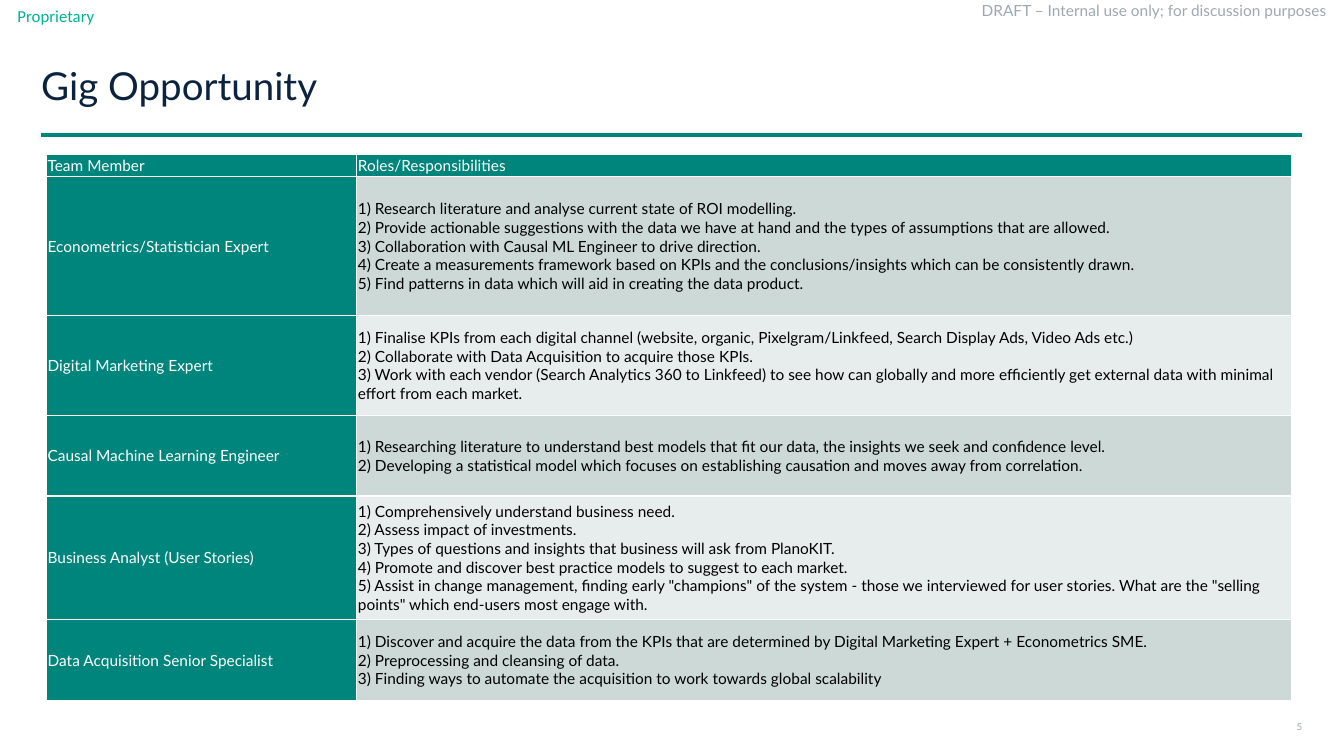
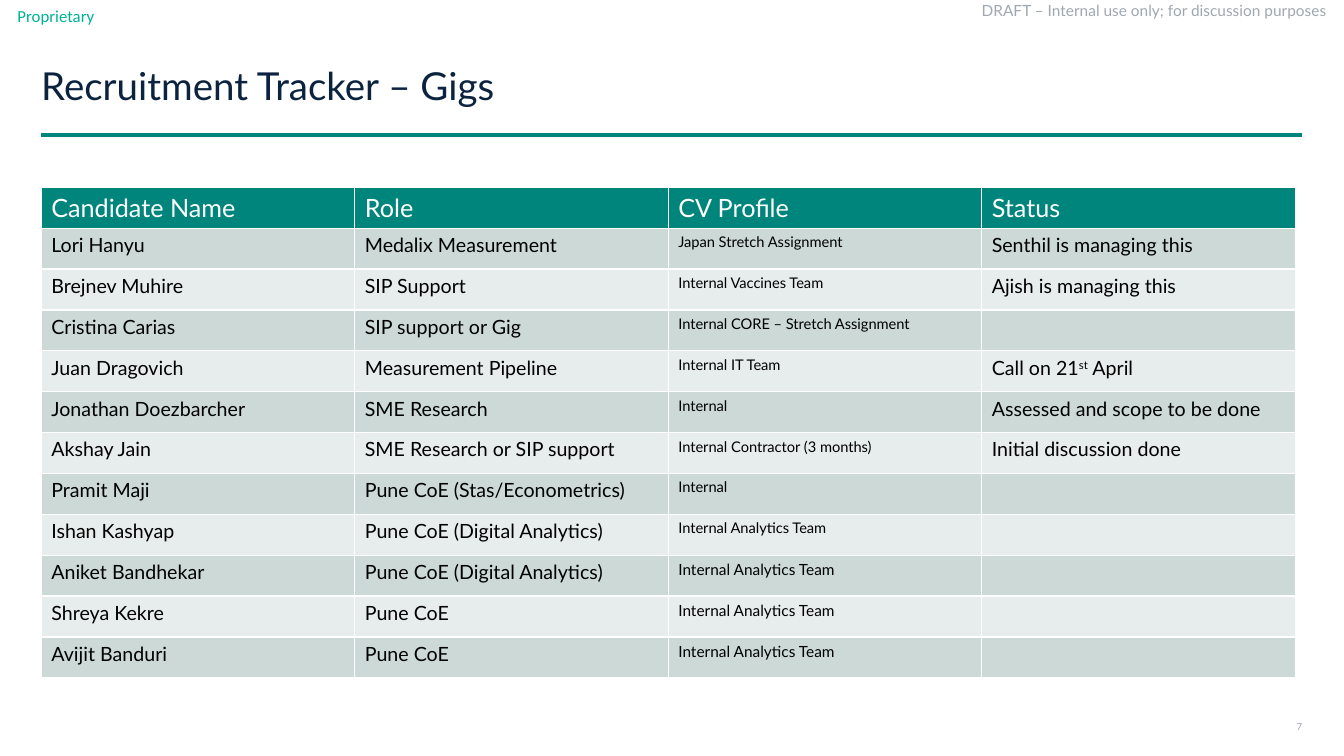
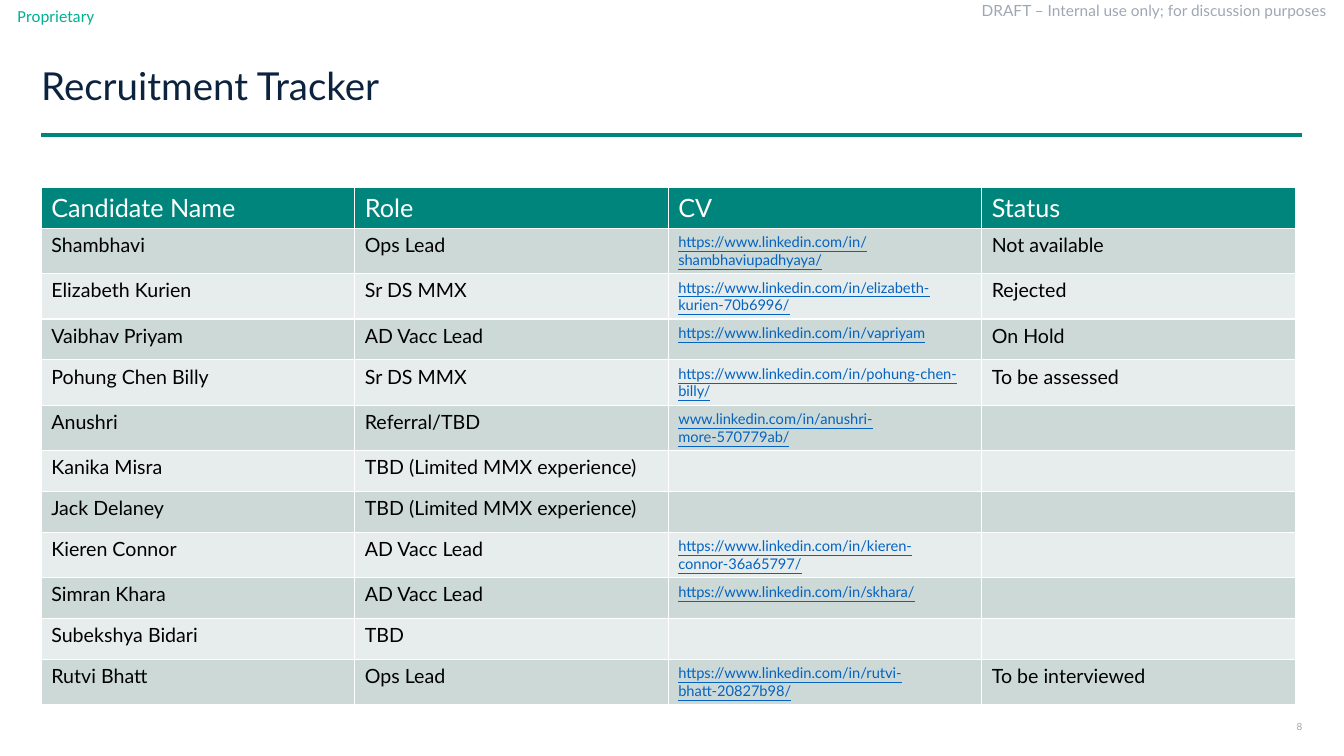
"""Build the gig opportunity and recruitment tracker slides."""
import dataclasses
import typing

import lxml.etree
import pptx
import pptx.dml.color
import pptx.enum.shapes
import pptx.enum.text
import pptx.oxml.ns
import pptx.util

Cm = pptx.util.Cm
Pt = pptx.util.Pt
ALIGN = pptx.enum.text.PP_ALIGN
ANCHOR = pptx.enum.text.MSO_ANCHOR

TEAL = "00857C"
GREEN = "00B294"
NAVY = "0C2340"
GREY = "9EA7B3"
WHITE = "FFFFFF"
BLACK = "000000"
LINK_BLUE = "0563C1"
BANDS = ("CCD9D7", "E7EDEC")


@dataclasses.dataclass(frozen=True)
class Style:
    size: float
    color: str
    font: str = "Lato"
    underline: bool = False


@dataclasses.dataclass(frozen=True)
class Label:
    left: float
    top: float
    width: float
    height: float
    style: Style
    align: ALIGN = ALIGN.LEFT
    anchor: ANCHOR = ANCHOR.MIDDLE
    line_spacing: float = 1.0


@dataclasses.dataclass(frozen=True)
class TeamRole:
    member: str
    duties: tuple[str, ...]
    height: float


@dataclasses.dataclass(frozen=True)
class Candidate:
    name: str
    role: str
    profile: str = ""
    status: str = ""
    profile_size: float = 10.5


DRAFT = Label(24.74, 0.03, 10.01, 0.84, Style(11, GREY), anchor=ANCHOR.TOP)
PROPRIETARY = Label(0, 0, 2.82, 0.81, Style(12, GREEN, "Calibri"), ALIGN.CENTER)
TITLE = Label(1.04, 1.04, 20.9, 2.36, Style(27.5, NAVY), line_spacing=0.9)
PAGE_NUMBER = Label(32.18, 18.01, 0.64, 0.61, Style(7, GREY), ALIGN.RIGHT)
TRACKER_HEADER = Style(18, WHITE)
TRACKER_BODY = Style(14, BLACK)
TRACKER_ROW = 1.03

TEAM_ROLES = (
    TeamRole("Econometrics/Statistician Expert", (
        "Research literature and analyse current state of ROI modelling.",
        "Provide actionable suggestions with the data we have at hand and the types of assumptions that are allowed.",
        "Collaboration with Causal ML Engineer to drive direction.",
        "Create a measurements framework based on KPIs and the conclusions/insights which can be consistently drawn.",
        "Find patterns in data which will aid in creating the data product.",
    ), 3.51),
    TeamRole("Digital Marketing Expert", (
        "Finalise KPIs from each digital channel (website, organic, Pixelgram/Linkfeed, Search Display Ads, "
        "Video Ads etc.)",
        "Collaborate with Data Acquisition to acquire those KPIs.",
        "Work with each vendor (Search Analytics 360 to Linkfeed) to see how can globally and more efficiently "
        "get external data with minimal effort from each market.",
    ), 2.51),
    TeamRole("Causal Machine Learning Engineer", (
        "Researching literature to understand best models that fit our data, the insights we seek and "
        "confidence level.",
        "Developing a statistical model which focuses on establishing causation and moves away from correlation.",
    ), 2.03),
    TeamRole("Business Analyst (User Stories)", (
        "Comprehensively understand business need.",
        "Assess impact of investments.",
        "Types of questions and insights that business will ask from PlanoKIT.",
        "Promote and discover best practice models to suggest to each market.",
        'Assist in change management, finding early "champions" of the system - those we interviewed for user '
        'stories. What are the "selling points" which end-users most engage with.',
    ), 3.12),
    TeamRole("Data Acquisition Senior Specialist", (
        "Discover and acquire the data from the KPIs that are determined by Digital Marketing Expert + "
        "Econometrics SME.",
        "Preprocessing and cleansing of data.",
        "Finding ways to automate the acquisition to work towards global scalability",
    ), 2.03),
)

GIG_CANDIDATES = (
    Candidate("Lori Hanyu", "Medalix Measurement", "Japan Stretch Assignment", "Senthil is managing this"),
    Candidate("Brejnev Muhire", "SIP Support", "Internal Vaccines Team", "Ajish is managing this"),
    Candidate("Cristina Carias", "SIP support or Gig", "Internal CORE – Stretch Assignment"),
    Candidate("Juan Dragovich", "Measurement Pipeline", "Internal IT Team", "Call on 21^st^ April"),
    Candidate("Jonathan Doezbarcher", "SME Research", "Internal", "Assessed and scope to be done"),
    Candidate("Akshay Jain", "SME Research or SIP support", "Internal Contractor (3 months)",
              "Initial discussion done"),
    Candidate("Pramit Maji", "Pune CoE (Stas/Econometrics)", "Internal"),
    Candidate("Ishan Kashyap", "Pune CoE (Digital Analytics)", "Internal Analytics Team"),
    Candidate("Aniket Bandhekar", "Pune CoE (Digital Analytics)", "Internal Analytics Team", profile_size=11),
    Candidate("Shreya Kekre", "Pune CoE", "Internal Analytics Team", profile_size=11),
    Candidate("Avijit Banduri", "Pune CoE", "Internal Analytics Team", profile_size=11),
)

CANDIDATES = (
    Candidate("Shambhavi", "Ops Lead", "https://www.linkedin.com/in/shambhaviupadhyaya/", "Not available"),
    Candidate("Elizabeth Kurien", "Sr DS MMX", "https://www.linkedin.com/in/elizabeth-kurien-70b6996/", "Rejected"),
    Candidate("Vaibhav Priyam", "AD Vacc Lead", "https://www.linkedin.com/in/vapriyam", "On Hold"),
    Candidate("Pohung Chen Billy", "Sr DS MMX", "https://www.linkedin.com/in/pohung-chen-billy/", "To be assessed"),
    Candidate("Anushri", "Referral/TBD", "www.linkedin.com/in/anushri-more-570779ab/"),
    Candidate("Kanika Misra", "TBD (Limited MMX experience)"),
    Candidate("Jack Delaney", "TBD (Limited MMX experience)"),
    Candidate("Kieren Connor", "AD Vacc Lead", "https://www.linkedin.com/in/kieren-connor-36a65797/"),
    Candidate("Simran Khara", "AD Vacc Lead", "https://www.linkedin.com/in/skhara/"),
    Candidate("Subekshya Bidari", "TBD"),
    Candidate("Rutvi Bhatt", "Ops Lead", "https://www.linkedin.com/in/rutvi-bhatt-20827b98/", "To be interviewed"),
)


def rgb(color: str) -> pptx.dml.color.RGBColor:
    return pptx.dml.color.RGBColor.from_string(color)


def write_text(paragraph: typing.Any, text: str, style: Style) -> None:
    for index, part in enumerate(text.split("^")):
        lines = part.split("\n")
        for line_index, line in enumerate(lines):
            if line_index:
                paragraph.add_line_break()
            if line:
                run = paragraph.add_run()
                run.text = line
                if index % 2:
                    run.font._element.set("baseline", "30000")
    font = paragraph.font
    font.size = Pt(style.size)
    font.name = style.font
    font.color.rgb = rgb(style.color)
    font.underline = style.underline


def add_label(slide: typing.Any, label: Label, text: str) -> None:
    box = slide.shapes.add_textbox(Cm(label.left), Cm(label.top), Cm(label.width), Cm(label.height))
    frame = box.text_frame
    frame.word_wrap = True
    frame.vertical_anchor = label.anchor
    frame.margin_left = frame.margin_right = frame.margin_top = frame.margin_bottom = 0
    paragraph = frame.paragraphs[0]
    paragraph.alignment = label.align
    paragraph.line_spacing = label.line_spacing
    write_text(paragraph, text, label.style)


def add_base_slide(presentation: typing.Any, title: str, number: int) -> typing.Any:
    slide = presentation.slides.add_slide(presentation.slide_layouts[6])
    rule = slide.shapes.add_connector(
        pptx.enum.shapes.MSO_CONNECTOR.STRAIGHT, Cm(1.04), Cm(3.4), Cm(32.82), Cm(3.4))
    rule.line.color.rgb = rgb(TEAL)
    rule.line.width = Pt(2.5)
    lxml.etree.SubElement(rule._element.spPr, pptx.oxml.ns.qn("a:effectLst"))
    add_label(slide, DRAFT, "DRAFT – Internal use only; for discussion purposes")
    add_label(slide, PROPRIETARY, "Proprietary")
    add_label(slide, TITLE, title)
    add_label(slide, PAGE_NUMBER, str(number))
    return slide


def add_borders(cell: typing.Any) -> None:
    properties = cell._tc.get_or_add_tcPr()
    for side in ("lnL", "lnR", "lnT", "lnB"):
        line = lxml.etree.SubElement(properties, pptx.oxml.ns.qn(f"a:{side}"), w=str(Pt(1)))
        fill = lxml.etree.SubElement(line, pptx.oxml.ns.qn("a:solidFill"))
        lxml.etree.SubElement(fill, pptx.oxml.ns.qn("a:srgbClr"), val=WHITE)


def fill_cell(cell: typing.Any, text: str, style: Style, fill: str) -> None:
    add_borders(cell)
    cell.fill.solid()
    cell.fill.fore_color.rgb = rgb(fill)
    write_text(cell.text_frame.paragraphs[0], text, style)


def add_plain_table(slide: typing.Any, left: float, top: float,
                    widths: typing.Sequence[float], heights: typing.Sequence[float]) -> typing.Any:
    table = slide.shapes.add_table(
        len(heights), len(widths), Cm(left), Cm(top), Cm(sum(widths)), Cm(sum(heights))).table
    table.first_row = table.horz_banding = False
    for column, width in zip(table.columns, widths):
        column.width = Cm(width)
    for row, height in zip(table.rows, heights):
        row.height = Cm(height)
    return table


def add_roles_table(slide: typing.Any) -> None:
    table = add_plain_table(slide, 1.17, 3.89, (7.82, 23.57), [0.56] + [role.height for role in TEAM_ROLES])
    light, dark = Style(11, WHITE), Style(11, BLACK)
    for column, heading in enumerate(("Team Member", "Roles/Responsibilities")):
        fill_cell(table.cell(0, column), heading, light, TEAL)
    for row, role in enumerate(TEAM_ROLES, 1):
        duties = "\n".join(f"{number}) {duty}" for number, duty in enumerate(role.duties, 1))
        fill_cell(table.cell(row, 0), role.member, light, TEAL)
        fill_cell(table.cell(row, 1), duties, dark, BANDS[(row - 1) % 2])
    for cell in table.iter_cells():
        cell.vertical_anchor = ANCHOR.MIDDLE
        cell.margin_left = cell.margin_right = cell.margin_top = cell.margin_bottom = Cm(0.03)


def add_tracker_table(slide: typing.Any, profile_heading: str, candidates: typing.Sequence[Candidate],
                      links: bool) -> None:
    table = add_plain_table(slide, 1.04, 4.72, [7.9] * 4, [TRACKER_ROW] * (len(candidates) + 1))
    for column, heading in enumerate(("Candidate Name", "Role", profile_heading, "Status")):
        fill_cell(table.cell(0, column), heading, TRACKER_HEADER, TEAL)
    for row, candidate in enumerate(candidates, 1):
        profile_style = Style(candidate.profile_size, LINK_BLUE if links else BLACK, underline=links)
        entries = (
            (candidate.name, TRACKER_BODY),
            (candidate.role, TRACKER_BODY),
            (candidate.profile, profile_style),
            (candidate.status, TRACKER_BODY),
        )
        for column, (text, style) in enumerate(entries):
            fill_cell(table.cell(row, column), text, style, BANDS[(row - 1) % 2])


def main() -> None:
    presentation = pptx.Presentation()
    presentation.slide_width = Cm(33.87)
    presentation.slide_height = Cm(19.05)
    add_roles_table(add_base_slide(presentation, "Gig Opportunity", 5))
    gigs_slide = add_base_slide(presentation, "Recruitment Tracker – Gigs", 7)
    add_tracker_table(gigs_slide, "CV Profile", GIG_CANDIDATES, links=False)
    tracker_slide = add_base_slide(presentation, "Recruitment Tracker", 8)
    add_tracker_table(tracker_slide, "CV", CANDIDATES, links=True)
    presentation.save("out.pptx")


if __name__ == "__main__":
    main()
